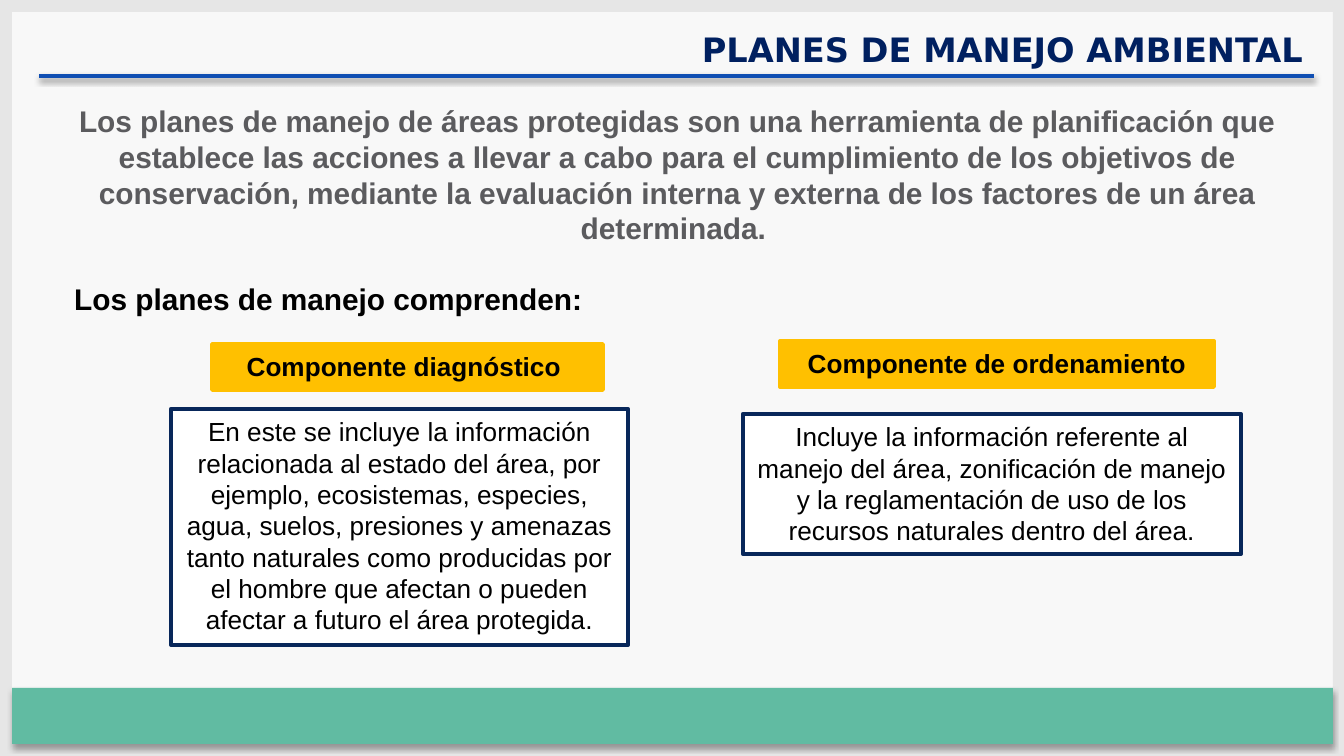
from lxml.etree import SubElement
from pptx import Presentation
from pptx.dml.color import RGBColor
from pptx.enum.shapes import MSO_CONNECTOR, MSO_SHAPE
from pptx.enum.text import MSO_ANCHOR, PP_ALIGN as ALIGN
from pptx.oxml.ns import qn
from pptx.util import Pt

PX = 914400 / 134.4
COLORS = {
    "page": "F8F8F8", "frame": "E6E6E6", "footer": "61BBA2",
    "title": "002060", "intro": "5B5B5E", "rule": "104FB3",
    "label": "FFC000", "outline": "08275A",
    "white": "FFFFFF", "black": "000000",
}


def add_box(left, top, width, height, fill=None, line=None, weight=2, text="",
            size=14, bold=True, color="black", align=ALIGN.CENTER, font="Arial", wrap=True):
    place = [round(value * PX) for value in (left, top, width, height)]
    if fill:
        box = page.shapes.add_shape(MSO_SHAPE.RECTANGLE, *place)
        box.shadow.inherit = False
        box.fill.solid()
        box.fill.fore_color.rgb = RGBColor.from_string(COLORS[fill])
        if line:
            box.line.color.rgb = RGBColor.from_string(COLORS[line])
            box.line.width = Pt(weight)
        else:
            box.line.fill.background()
    else:
        box = page.shapes.add_textbox(*place)
    if text:
        frame = box.text_frame
        frame.word_wrap = wrap
        frame.vertical_anchor = MSO_ANCHOR.TOP
        frame.text = text
        para = frame.paragraphs[0]
        para.alignment = align
        span = para.runs[0]
        span.font.name = font
        span.font.size = Pt(size)
        span.font.bold = bold
        span.font.color.rgb = RGBColor.from_string(COLORS[color])
    return box


def add_shadow(shape, distance, alpha):
    properties = shape._element.spPr
    for old in properties.findall(qn("a:effectLst")):
        properties.remove(old)
    effects = SubElement(properties, qn("a:effectLst"))
    shadow = SubElement(effects, qn("a:outerShdw"), blurRad="40000",
                        dist=str(distance), dir="5400000", rotWithShape="0")
    tint = SubElement(shadow, qn("a:srgbClr"), val=COLORS["black"])
    SubElement(tint, qn("a:alpha"), val=str(alpha * 1000))


deck = Presentation()
deck.slide_width, deck.slide_height = round(1344 * PX), round(756 * PX)
page = deck.slides.add_slide(deck.slide_layouts[6])
page.background.fill.solid()
page.background.fill.fore_color.rgb = RGBColor.from_string(COLORS["page"])

# Frame around the page
for edge in [(0, 0, 1344, 12), (0, 744, 1344, 12), (0, 0, 12, 756), (1333, 0, 11, 756)]:
    add_box(*edge, fill="frame")

# Footer band
footer = add_box(12, 688, 1321, 56, fill="footer")
add_shadow(footer, 23000, 35)

# Title and introduction
add_box(391, 22, 937, 54, text="PLANES DE MANEJO AMBIENTAL ", size=18,
        color="title", align=ALIGN.RIGHT, font="DejaVu Sans")
add_box(43, 96, 1269, 158, size=16, color="intro",
        text="Los planes de manejo de áreas protegidas son una herramienta de "
             "planificación que establece las acciones a llevar a cabo para el "
             "cumplimiento de los objetivos de conservación, mediante la evaluación "
             "interna y externa de los factores de un área determinada. ")

# Rule under the title
rule = page.shapes.add_connector(
    MSO_CONNECTOR.STRAIGHT, *[round(value * PX) for value in (1314, 76, 39, 76)])
rule.line.color.rgb = RGBColor.from_string(COLORS["rule"])
rule.line.width = Pt(2)
add_shadow(rule, 20000, 38)

# Subheading
add_box(61, 274, 542, 50, text="Los planes de manejo comprenden:", size=16,
        align=ALIGN.LEFT, wrap=False)

# Component labels
for left, top, width, label in [
    (212, 344, 391, "Componente diagnóstico "),
    (780, 341, 434, "Componente de ordenamiento"),
]:
    add_box(left, top, width, 46, fill="label", line="label", text=label)

# Component descriptions
for left, top, width, height, description in [
    (171, 409, 457, 236,
     "En este se incluye la información relacionada al estado del área, por ejemplo, "
     "ecosistemas, especies, agua, suelos, presiones y amenazas tanto naturales como "
     "producidas por el hombre que afectan o pueden afectar a futuro el área protegida."),
    (743, 414, 498, 140,
     "Incluye la información referente al manejo del área, zonificación de manejo y la "
     "reglamentación de uso de los recursos naturales dentro del área."),
]:
    add_box(left, top, width, height, fill="white", line="outline", weight=2.25,
            text=description, bold=False)

deck.save("out.pptx")
